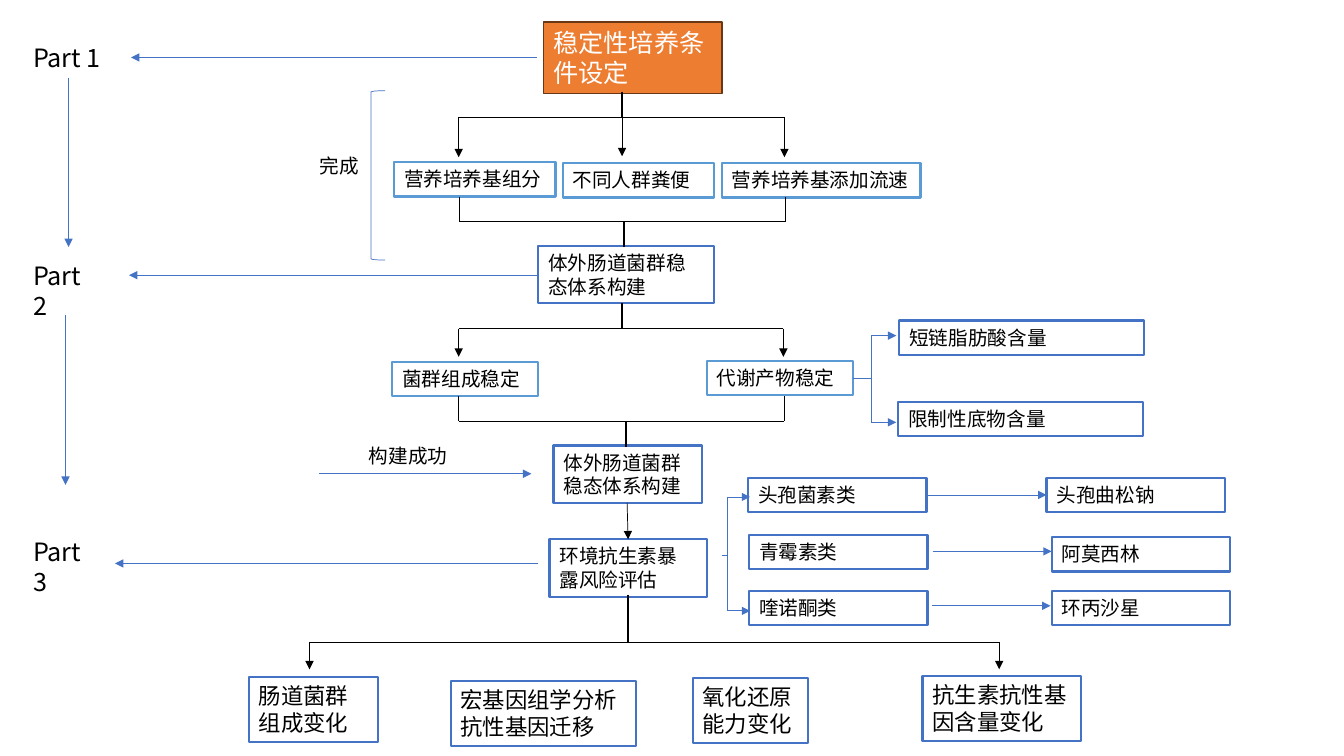
from lxml import etree
from pptx import Presentation
from pptx import util as u
from pptx.dml.color import RGBColor
from pptx.enum import shapes, text
from pptx.oxml.ns import qn

FONT = "Noto Sans CJK SC"
COLORS = {
    "orange": "ED7D31", "brown": "683715", "white": "FFFFFF",
    "black": "000000", "blue": "4472C4", "sky": "5B9BD5",
}
# Grid of tenths of an inch; every position below is in columns and rows.
WIDTH, HEIGHT = u.Inches(13.33), u.Inches(7.5)
COL, ROW = WIDTH / 133.3, HEIGHT / 75
ONE_LINE, TWO_LINES, TWO_LARGE_LINES, TITLE_HEIGHT = 3.4, 5.7, 6.4, 7.1

# left, top, width, text
FACTOR_BOXES = [
    (39.1, 16.1, 16, "营养培养基组分"),
    (55.8, 16.2, 15, "不同人群粪便"),
    (71.6, 16.2, 19.7, "营养培养基添加流速"),
    (38.9, 35.9, 14.5, "菌群组成稳定"),
    (70.1, 35.8, 14.5, "代谢产物稳定"),
]
STAGE_BOXES = [
    (53.4, 24.4, 17.4, "体外肠道菌群稳态体系构建"),
    (54.9, 44.2, 14.7, "体外肠道菌群稳态体系构建"),
    (54.5, 53.5, 15.6, "环境抗生素暴露风险评估"),
]
DETAIL_BOXES = [
    (89.2, 31.8, 24.3, "短链脂肪酸含量"),
    (89.1, 39.9, 24.3, "限制性底物含量"),
    (74.2, 47.4, 17.7, "头孢菌素类"),
    (74.3, 53.1, 17.7, "青霉素类"),
    (74.3, 58.6, 17.7, "喹诺酮类"),
    (103.8, 47.4, 17.7, "头孢曲松钠"),
    (104.3, 53.3, 17.7, "阿莫西林"),
    (104.3, 58.6, 17.7, "环丙沙星"),
]
OUTCOME_BOXES = [
    (24.7, 67.2, 12.8, "肠道菌群组成变化"),
    (44.7, 67.6, 18.4, "宏基因组学分析抗性基因迁移"),
    (68.7, 67.3, 11.4, "氧化还原能力变化"),
    (91.5, 67.1, 15.7, "抗生素抗性基因含量变化"),
]
# left, top, width, height, size, wrap, text
LABELS = [
    (2.3, 3.7, 9, 4, 18, True, "Part 1"),
    (2.3, 25.3, 8.3, 4, 18, True, "Part 2"),
    (2.3, 52.7, 8.3, 4, 18, True, "Part 3"),
    (30.7, 14.8, 5.9, ONE_LINE, 14, False, "完成"),
    (35.6, 43.5, 9.9, ONE_LINE, 14, False, "构建成功"),
]
# x1, y1, x2, y2
BLUE_ARROWS = [
    (53.3, 5.7, 13, 5.7), (53.4, 27.3, 12.8, 27.3), (53.4, 55.9, 11.4, 55.9),
    (6.8, 7.7, 6.8, 24.5), (6.5, 31.3, 6.5, 48.1), (31.6, 47, 52.7, 47),
    (91.9, 49.1, 103.8, 49.1), (92.5, 54.7, 104.3, 54.7), (92.4, 60.1, 104.2, 60.1),
]


def rgb(name):
    return RGBColor.from_string(COLORS[name])


def place(left, top, width, height):
    return [int(v) for v in (left * COL, top * ROW, width * COL, height * ROW)]


def write(sp, words, size, color="black", wrap=True):
    tf = sp.text_frame
    tf.text = words
    tf.word_wrap = wrap
    tf.auto_size = text.MSO_AUTO_SIZE.SHAPE_TO_FIT_TEXT
    tf.vertical_anchor = text.MSO_ANCHOR.TOP
    p = tf.paragraphs[0]
    p.alignment = text.PP_ALIGN.LEFT
    r = p.runs[0]
    r.font.size = u.Pt(size)
    r.font.name = FONT
    r.font.color.rgb = rgb(color)
    latin = r._r.rPr.find(qn("a:latin"))
    latin.addnext(etree.Element(qn("a:ea"), typeface=FONT))


def add_box(slide, left, top, width, height, words, size=14, line="blue",
            weight=1.5, fill="white", color="black"):
    sp = slide.shapes.add_shape(shapes.MSO_SHAPE.RECTANGLE,
                                *place(left, top, width, height))
    sp.shadow.inherit = False
    sp.fill.solid()
    sp.fill.fore_color.rgb = rgb(fill)
    sp.line.color.rgb = rgb(line)
    sp.line.width = u.Pt(weight)
    write(sp, words, size, color)


def add_label(slide, left, top, width, height, size, wrap, words):
    sp = slide.shapes.add_textbox(*place(left, top, width, height))
    write(sp, words, size, wrap=wrap)


def add_line(slide, x1, y1, x2, y2, color="black", weight=0.5, arrow=False):
    sp = slide.shapes.add_connector(shapes.MSO_CONNECTOR.STRAIGHT,
                                    *place(x1, y1, x2, y2))
    sp.line.color.rgb = rgb(color)
    sp.line.width = u.Pt(weight)
    if arrow:
        etree.SubElement(sp.line._get_or_add_ln(), qn("a:tailEnd"), type="triangle")
    etree.SubElement(sp._element.spPr, qn("a:effectLst"))


def add_fork(slide, stem, top, bar, left, right, tip):
    """Stem going down to a bar, with an arrow at each end of the bar."""
    add_line(slide, stem, top, stem, bar, weight=1)
    for end in (left, right):
        add_line(slide, stem, bar, end, bar)
        add_line(slide, end, bar, end, tip, arrow=True)


def add_join(slide, left, right, top, bar, stem, bottom):
    """Two lines going down to a bar, with one stem below it."""
    for end in (left, right):
        add_line(slide, end, top, end, bar)
    add_line(slide, left, bar, right, bar)
    add_line(slide, stem, bar, stem, bottom, weight=1)


def add_side_fork(slide, start, middle, spine, top, bottom, tip):
    """Blue stem going right to a spine, with an arrow at each end."""
    add_line(slide, start, middle, spine, middle, "blue")
    add_line(slide, spine, bottom, spine, top, "blue")
    for y in (top, bottom):
        add_line(slide, spine, y, tip, y, "blue", arrow=True)


def add_bracket(slide, left, top, width, height):
    sp = slide.shapes.add_shape(shapes.MSO_SHAPE.LEFT_BRACKET,
                                *place(left, top, width, height))
    sp.shadow.inherit = False
    sp.fill.background()
    sp.line.color.rgb = rgb("blue")
    sp.line.width = u.Pt(0.5)


def main():
    prs = Presentation()
    prs.slide_width, prs.slide_height = WIDTH, HEIGHT
    slide = prs.slides.add_slide(prs.slide_layouts[6])

    add_box(slide, 53.9, 2.2, 17.7, TITLE_HEIGHT, "稳定性培养条件设定", 18,
            "brown", 1, "orange", "white")
    for left, top, width, words in FACTOR_BOXES:
        add_box(slide, left, top, width, ONE_LINE, words, line="sky")
    for left, top, width, words in STAGE_BOXES:
        add_box(slide, left, top, width, TWO_LINES, words)
    for left, top, width, words in DETAIL_BOXES:
        add_box(slide, left, top, width, ONE_LINE, words)
    for left, top, width, words in OUTCOME_BOXES:
        add_box(slide, left, top, width, TWO_LARGE_LINES, words, 16)
    for label in LABELS:
        add_label(slide, *label)

    add_fork(slide, 61.7, 9.1, 11.6, 45.5, 77.8, 15.6)
    add_line(slide, 61.7, 11.6, 61.7, 15.5, arrow=True)
    add_join(slide, 45.6, 77.9, 19.5, 22, 61.9, 24.5)
    add_fork(slide, 61.7, 30.1, 32.6, 45.5, 77.7, 35.4)
    add_join(slide, 45.5, 77.8, 39.3, 41.8, 62.1, 44.3)
    add_line(slide, 62.2, 49.9, 62.3, 53.5, arrow=True)
    add_fork(slide, 62.3, 59, 63.7, 30.7, 99.1, 66.4)

    add_side_fork(slide, 84.6, 37.5, 86.4, 33.3, 41.9, 88.9)
    add_side_fork(slide, 71.6, 55.1, 72.1, 49.3, 60.6, 74.4)
    for arrow in BLUE_ARROWS:
        add_line(slide, *arrow, color="blue", arrow=True)
    add_bracket(slide, 36.8, 9, 1.4, 16.8)

    prs.save("out.pptx")


if __name__ == "__main__":
    main()
